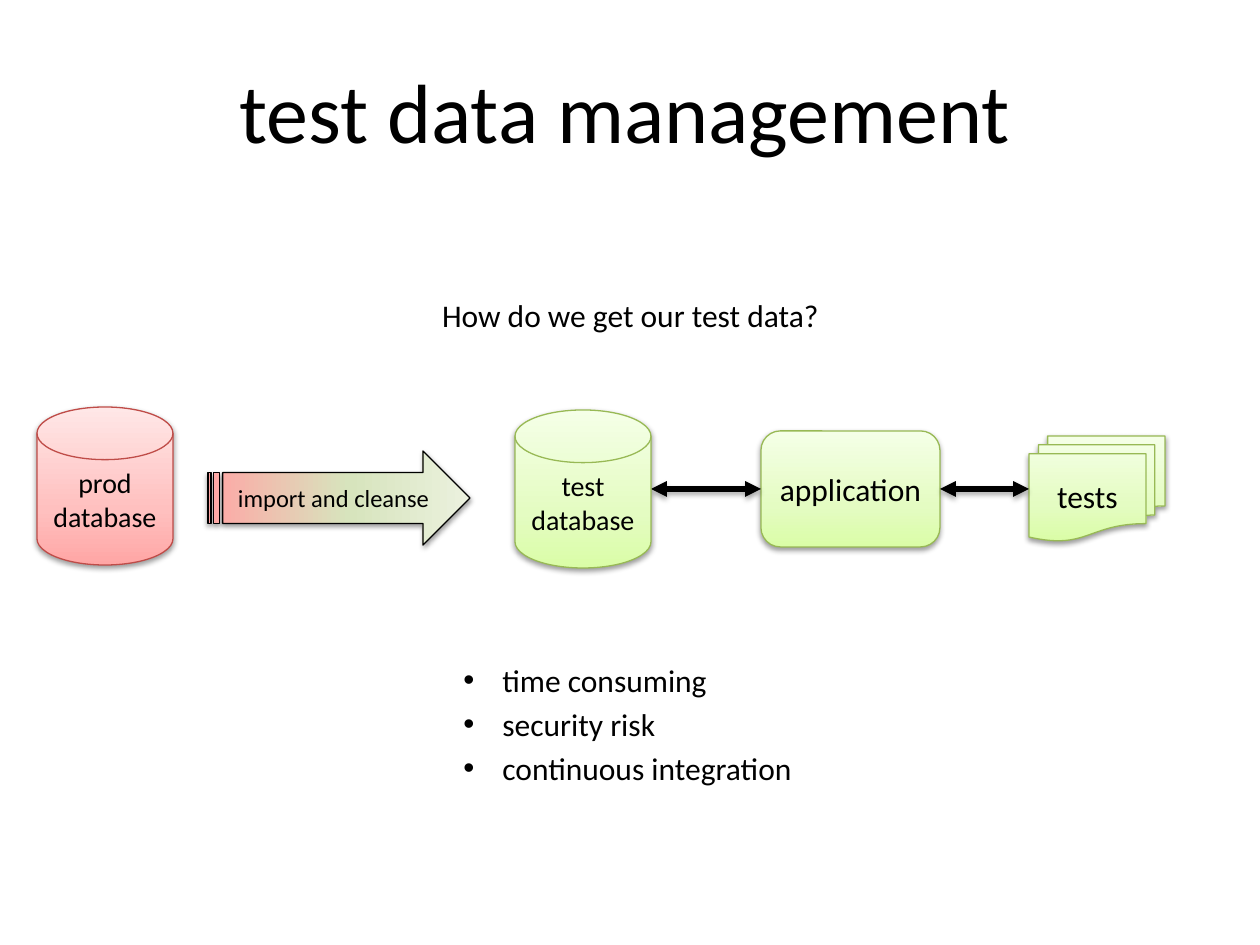
from lxml.etree import SubElement
from pptx import Presentation
from pptx.dml.color import RGBColor
from pptx.enum.shapes import MSO_CONNECTOR, MSO_SHAPE
from pptx.enum.text import MSO_ANCHOR, MSO_AUTO_SIZE, PP_ALIGN
from pptx.oxml.ns import qn
from pptx.util import Pt

EMU_PER_PX = 914400 / 126
BLACK = "000000"
GREEN = [(0, "DAFDA7"), (35, "E4FCC2"), (100, "F5FFE7")]
RED = [(0, "FFA6A5"), (35, "FFC0BF"), (100, "FFE7E7")]
RED_TO_GREEN = [(0, "FFA6A5"), (54, "D7E4BD"), (100, "EBF1DE")]
GREEN_LINE = "98B955"
RED_LINE = "BF4C48"


def px(length):
    """Turn pixels into EMU."""
    return round(length * EMU_PER_PX)


def color(value):
    """Turn a hex string into a colour."""
    return RGBColor.from_string(value)


class SlideBuilder:
    """Hold the style and the current slide."""

    font_name = "Calibri"

    def __init__(self, presentation):
        """Add a title-only slide to the presentation."""
        self.slide = presentation.slides.add_slide(presentation.slide_layouts[5])

    def label(self, shape, text, size, align=PP_ALIGN.CENTER, anchor=MSO_ANCHOR.MIDDLE):
        """Put styled text into a shape."""
        frame = shape.text_frame
        frame.text = text
        frame.word_wrap = True
        frame.auto_size = MSO_AUTO_SIZE.NONE
        frame.vertical_anchor = anchor
        paragraph = frame.paragraphs[0]
        paragraph.alignment = align
        for run in paragraph.runs:
            run.font.name = self.font_name
            run.font.size = Pt(size)
            run.font.color.rgb = color(BLACK)
        return paragraph

    def title(self, text, box, size):
        """Place the title placeholder and fill it."""
        shape = self.slide.shapes.title
        shape.left, shape.top, shape.width, shape.height = map(px, box)
        self.label(shape, text, size, anchor=MSO_ANCHOR.TOP)

    def text(self, text, box, size=18, align=PP_ALIGN.CENTER):
        """Add a text box and return its paragraph."""
        shape = self.slide.shapes.add_textbox(*map(px, box))
        return self.label(shape, text, size, align, MSO_ANCHOR.TOP)

    def bullet(self, text, box, indent=39):
        """Add a text box with one bulleted line."""
        paragraph = self.text(text, box, align=PP_ALIGN.LEFT)
        properties = paragraph._p.get_or_add_pPr()
        properties.set("marL", str(px(indent)))
        properties.set("indent", str(-px(indent)))
        SubElement(properties, qn("a:buFont"), typeface="Arial")
        SubElement(properties, qn("a:buChar"), char="•")

    def shadow(self, effects, opacity, distance):
        """Add a soft shadow that falls straight down."""
        outer = SubElement(effects, qn("a:outerShdw"), blurRad=str(Pt(3.1)),
                           dist=str(Pt(distance)), dir="5400000", rotWithShape="0")
        shade = SubElement(outer, qn("a:srgbClr"), val=BLACK)
        SubElement(shade, qn("a:alpha"), val=str(opacity * 1000))

    def gradient(self, shape, stops, angle):
        """Fill a shape with a linear gradient."""
        shape.fill.gradient()
        fill = shape._element.spPr.find(qn("a:gradFill"))
        for child in list(fill):
            fill.remove(child)
        stop_list = SubElement(fill, qn("a:gsLst"))
        for position, value in stops:
            stop = SubElement(stop_list, qn("a:gs"), pos=str(position * 1000))
            SubElement(stop, qn("a:srgbClr"), val=value)
        SubElement(fill, qn("a:lin"), ang=str(angle * 60000), scaled="0")

    def node(self, kind, text, box, size, stops, line, angle=270, adjustments=()):
        """Add a labelled diagram shape."""
        shape = self.slide.shapes.add_shape(kind, *map(px, box))
        for index, value in enumerate(adjustments):
            shape.adjustments[index] = value
        self.gradient(shape, stops, angle)
        shape.line.color.rgb = color(line)
        shape.line.width = Pt(0.75)
        shape.shadow.inherit = False
        self.shadow(shape._element.spPr.find(qn("a:effectLst")), 38, 1.6)
        self.label(shape, text, size)

    def double_arrow(self, start, end, y):
        """Add a horizontal line with a head at both ends."""
        connector = self.slide.shapes.add_connector(
            MSO_CONNECTOR.STRAIGHT, px(start), px(y), px(end), px(y))
        connector.line.color.rgb = color(BLACK)
        connector.line.width = Pt(3)
        properties = connector._element.spPr
        for tag in ("a:headEnd", "a:tailEnd"):
            SubElement(properties.find(qn("a:ln")), qn(tag), type="triangle")
        self.shadow(SubElement(properties, qn("a:effectLst")), 35, 1.8)


def main():
    """Build and save the slide."""
    presentation = Presentation()
    presentation.slide_width, presentation.slide_height = px(1260), px(945)
    builder = SlideBuilder(presentation)

    builder.title("test data management", (63, 53, 1124, 115), 48)
    builder.node(MSO_SHAPE.ROUNDED_RECTANGLE, "application",
                 (761, 431, 179, 116), 18, GREEN, GREEN_LINE)
    builder.node(MSO_SHAPE.FLOWCHART_MULTIDOCUMENT, "tests",
                 (1029, 436, 136, 105), 18, GREEN, GREEN_LINE)
    for start, end in ((651, 761), (940, 1029)):
        builder.double_arrow(start, end, 489)
    builder.node(MSO_SHAPE.FLOWCHART_MAGNETIC_DISK, "prod database",
                 (37, 407, 136, 158), 16, RED, RED_LINE)
    builder.node(MSO_SHAPE.STRIPED_RIGHT_ARROW, "import and cleanse",
                 (208, 451, 262, 94), 14, RED_TO_GREEN, BLACK,
                 angle=0, adjustments=(0.54, 0.5))
    builder.text("How do we get our test data?", (44, 290, 1173, 50))
    builder.node(MSO_SHAPE.FLOWCHART_MAGNETIC_DISK, "test database",
                 (515, 410, 136, 158), 16, GREEN, GREEN_LINE)
    for row, text in enumerate(("time consuming", "security risk", "continuous integration")):
        builder.bullet(text, (451, 655 + 44 * row, 433, 50))

    presentation.save("out.pptx")


if __name__ == "__main__":
    main()
